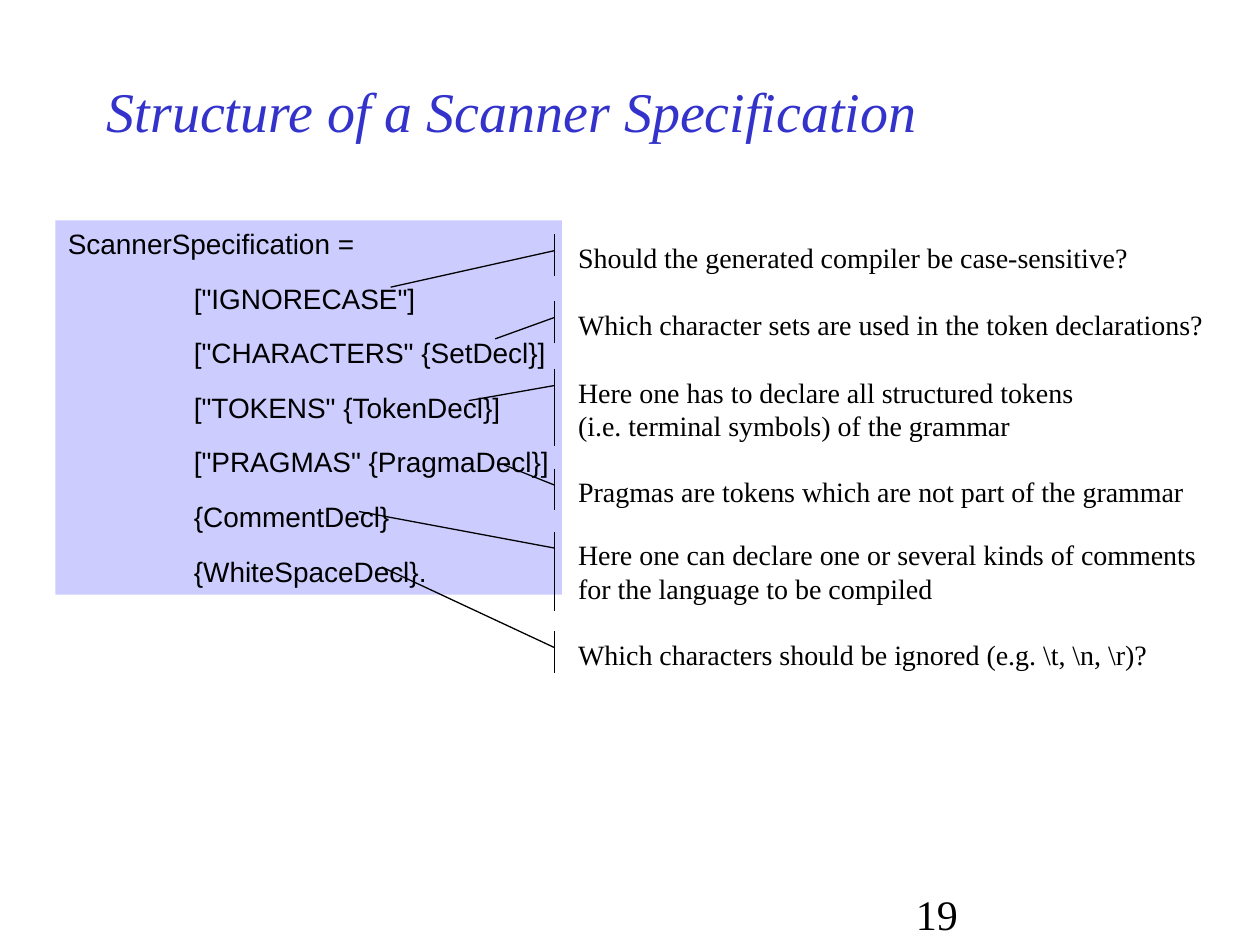
from dataclasses import dataclass

import pptx
import pptx.dml.color
import pptx.enum.shapes
import pptx.enum.text
import pptx.oxml
import pptx.oxml.ns
import pptx.util
from pptx.util import Inches

ANCHOR = pptx.enum.text.MSO_ANCHOR


@dataclass(frozen=True)
class Style:
    font: str
    size: int
    color: str = "000000"
    italic: bool = False


@dataclass(frozen=True)
class Theme:
    title: Style = Style("Times New Roman", 32, "3333CC", True)
    grammar: Style = Style("Arial", 16)
    comment: Style = Style("Times New Roman", 16)
    number: Style = Style("Times New Roman", 24)
    panel: str = "CCCCFF"
    line: str = "000000"
    line_width: float = 0.75


@dataclass(frozen=True)
class Callout:
    """A comment whose leader line points at target, in slide inches."""
    top: float
    height: float
    target: tuple[float, float]
    lines: tuple[str, ...]
    width: float = 5.33


THEME = Theme()
CALLOUT_LEFT = 4.49
BAR_LEFT = 4.40
LEADER_DROP = 0.13

GRAMMAR = (
    "ScannerSpecification =",
    '\t["IGNORECASE"]',
    '\t["CHARACTERS" {SetDecl}]',
    '\t["TOKENS" {TokenDecl}]',
    '\t["PRAGMAS" {PragmaDecl}]',
    "\t{CommentDecl}",
    "\t{WhiteSpaceDecl}.",
)

CALLOUTS = (
    Callout(1.86, 0.33, (3.10, 2.28),
            ("Should the generated compiler be case-sensitive?",), 4.61),
    Callout(2.39, 0.33, (3.93, 2.69),
            ("Which character sets are used in the token declarations?",)),
    Callout(2.93, 0.61, (3.72, 3.18),
            ("Here one has to declare all structured tokens",
             "(i.e. terminal symbols) of the grammar")),
    Callout(3.72, 0.33, (4.00, 3.69),
            ("Pragmas are tokens which are not part of the grammar",)),
    Callout(4.22, 0.63, (2.85, 4.06),
            ("Here one can declare one or several kinds of comments",
             "for the language to be compiled")),
    Callout(5.01, 0.33, (3.03, 4.50),
            (r"Which characters should be ignored (e.g. \t, \n, \r)?",)),
)


def rgb(value: str) -> pptx.dml.color.RGBColor:
    return pptx.dml.color.RGBColor.from_string(value)


def add_tab_stop(para, position: float) -> None:
    tabs = pptx.oxml.parse_xml(
        f'<a:tabLst {pptx.oxml.ns.nsdecls("a")}>'
        f'<a:tab pos="{Inches(position)}" algn="l"/></a:tabLst>')
    para._p.get_or_add_pPr().append(tabs)


def write(shape, lines: tuple[str, ...], style: Style, anchor=ANCHOR.TOP,
          wrap: bool = True, gap: float = 0) -> None:
    """Fill a shape with one paragraph per line, gap points apart."""
    frame = shape.text_frame
    frame.word_wrap = wrap
    frame.vertical_anchor = anchor
    for index, line in enumerate(lines):
        para = frame.add_paragraph() if index else frame.paragraphs[0]
        para.text = line
        para.alignment = pptx.enum.text.PP_ALIGN.LEFT
        if index and gap:
            para.space_before = pptx.util.Pt(gap)
        if "\t" in line:
            add_tab_stop(para, 1)
        para.font.name = style.font
        para.font.size = pptx.util.Pt(style.size)
        para.font.italic = style.italic
        para.font.color.rgb = rgb(style.color)


def add_grammar(page) -> None:
    panel = page.shapes.add_shape(
        pptx.enum.shapes.MSO_SHAPE.RECTANGLE,
        Inches(0.44), Inches(1.75), Inches(4.02), Inches(2.97))
    panel.shadow.inherit = False
    panel.fill.solid()
    panel.fill.fore_color.rgb = rgb(THEME.panel)
    panel.line.fill.background()
    write(panel, GRAMMAR, THEME.grammar, wrap=False, gap=12)


def add_callout(page, callout: Callout) -> None:
    shape = page.shapes.add_shape(
        pptx.enum.shapes.MSO_SHAPE.LINE_CALLOUT_1_ACCENT_BAR,
        Inches(CALLOUT_LEFT), Inches(callout.top),
        Inches(callout.width), Inches(callout.height))
    shape.shadow.inherit = False
    shape.fill.background()
    shape.line.color.rgb = rgb(THEME.line)
    shape.line.width = pptx.util.Pt(THEME.line_width)
    target_x, target_y = callout.target
    leader = (
        LEADER_DROP / callout.height,
        (BAR_LEFT - CALLOUT_LEFT) / callout.width,
        (target_y - callout.top) / callout.height,
        (target_x - CALLOUT_LEFT) / callout.width,
    )
    for index, value in enumerate(leader):
        shape.adjustments[index] = value
    write(shape, callout.lines, THEME.comment)


def main() -> None:
    deck = pptx.Presentation()
    deck.slide_width, deck.slide_height = Inches(10), Inches(7.5)
    page = deck.slides.add_slide(deck.slide_layouts[6])

    title = page.shapes.add_textbox(
        Inches(0.75), Inches(0.5), Inches(7.5), Inches(0.75))
    write(title, ("Structure of a Scanner Specification",), THEME.title,
          anchor=ANCHOR.MIDDLE)
    add_grammar(page)
    for callout in CALLOUTS:
        add_callout(page, callout)
    number = page.shapes.add_textbox(
        Inches(7.17), Inches(7), Inches(2.08), Inches(0.33))
    write(number, ("19",), THEME.number)

    deck.save("out.pptx")


if __name__ == "__main__":
    main()
